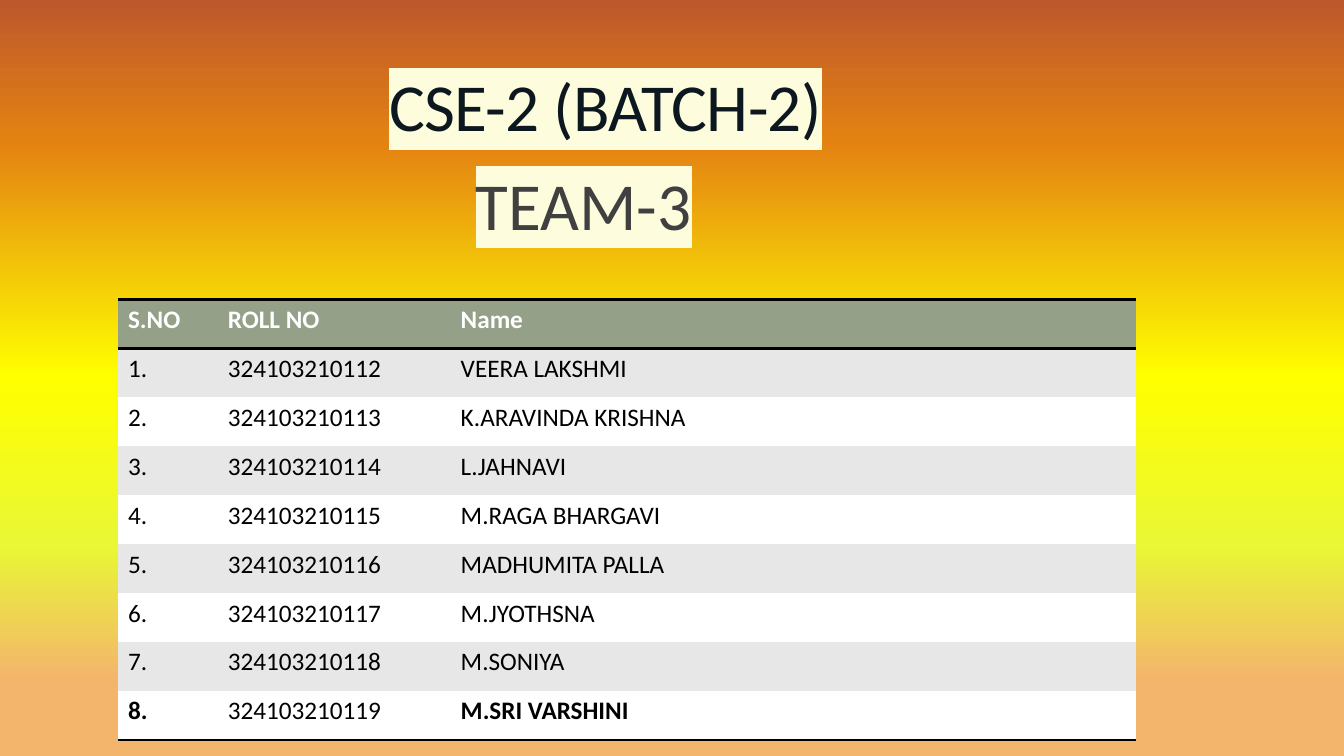
from dataclasses import dataclass

from lxml.etree import SubElement
from pptx import Presentation
from pptx.dml.color import RGBColor
from pptx.enum.text import MSO_ANCHOR
from pptx.oxml.ns import qn
from pptx.slide import Slide
from pptx.table import _Cell
from pptx.util import Inches, Pt

COLORS = {
    "rust": "BD582C",
    "orange": "E48312",
    "yellow": "FFFF00",
    "lime": "E9F735",
    "peach": "F3B56C",
    "gray": "404040",
    "navy": "0D171F",
    "cream": "FDFDDD",
    "sage": "94A088",
    "band": "E7E7E7",
    "white": "FFFFFF",
    "black": "000000",
}
BACKGROUND_STOPS = {"rust": 0, "orange": 19, "yellow": 50, "lime": 72, "peach": 90}
COLUMN_WIDTHS = (0.99, 2.31, 6.8)
ROW_HEIGHT = 4.37 / 9
HEADER = ("S.NO", "ROLL NO", "Name")
FIRST_ROLL_NUMBER = 324103210112
STUDENTS = (
    "VEERA LAKSHMI",
    "K.ARAVINDA KRISHNA",
    "L.JAHNAVI",
    "M.RAGA BHARGAVI",
    "MADHUMITA PALLA",
    "M.JYOTHSNA",
    "M.SONIYA",
    "M.SRI VARSHINI",
)


@dataclass(frozen=True)
class Heading:
    text: str
    left: float
    top: float
    width: float
    height: float
    color: str
    line_spacing: float
    anchor: MSO_ANCHOR


HEADINGS = (
    Heading("CSE-2 (BATCH-2)", 3.86, 0.21, 8.31, 1.28, "navy", 0.85, MSO_ANCHOR.BOTTOM),
    Heading("TEAM-3", 4.72, 1.66, 4.82, 0.9, "gray", 0.9, MSO_ANCHOR.TOP),
)


def write_text(frame, text: str, *, size: float, color: str, bold: bool = False,
               highlight: str | None = None, spacing: float | None = None,
               line_spacing: float | None = None) -> None:
    para = frame.paragraphs[0]
    if line_spacing:
        para.line_spacing = line_spacing
    span = para.add_run()
    span.text = text
    font = span.font
    font.name = "Calibri"
    font.size = Pt(size)
    font.bold = bold
    font.color.rgb = RGBColor.from_string(COLORS[color])
    properties = font._element
    if spacing:
        properties.set("spc", str(round(spacing * 100)))
    if highlight:
        mark = SubElement(properties, qn("a:highlight"))
        SubElement(mark, qn("a:srgbClr"), val=COLORS[highlight])
        properties.find(qn("a:solidFill")).addnext(mark)


def paint_background(page: Slide) -> None:
    fill = page.background.fill
    fill.gradient()
    fill.gradient_angle = 270
    stops = fill.gradient_stops[0]._gs.getparent()
    for stop in list(stops):
        stops.remove(stop)
    for color, percent in BACKGROUND_STOPS.items():
        stop = SubElement(stops, qn("a:gs"), pos=str(percent * 1000))
        SubElement(stop, qn("a:srgbClr"), val=COLORS[color])


def add_heading(page: Slide, heading: Heading) -> None:
    box = page.shapes.add_textbox(Inches(heading.left), Inches(heading.top),
                                  Inches(heading.width), Inches(heading.height))
    frame = box.text_frame
    frame.word_wrap = True
    frame.vertical_anchor = heading.anchor
    frame.margin_left = frame.margin_right = 0
    write_text(frame, heading.text, size=48, color=heading.color, highlight="cream",
               spacing=-0.5 if heading.anchor == MSO_ANCHOR.BOTTOM else None,
               line_spacing=heading.line_spacing)


def set_borders(cell: _Cell, ruled: set[str]) -> None:
    properties = cell._tc.get_or_add_tcPr()
    for position, side in enumerate(("lnL", "lnR", "lnT", "lnB")):
        line = SubElement(properties, qn(f"a:{side}"))
        properties.insert(position, line)
        if side in ruled:
            line.set("w", str(Pt(2)))
            fill = SubElement(line, qn("a:solidFill"))
            SubElement(fill, qn("a:srgbClr"), val=COLORS["black"])
        else:
            SubElement(line, qn("a:noFill"))


def add_student_table(page: Slide) -> None:
    rows = [HEADER] + [
        (f"{number}.", str(FIRST_ROLL_NUMBER + number - 1), name)
        for number, name in enumerate(STUDENTS, start=1)
    ]
    last = len(rows) - 1
    table = page.shapes.add_table(
        len(rows), len(HEADER), Inches(1.17), Inches(2.97),
        Inches(sum(COLUMN_WIDTHS)), Inches(ROW_HEIGHT * len(rows))).table
    for column, width in zip(table.columns, COLUMN_WIDTHS):
        column.width = Inches(width)
    for row_index, values in enumerate(rows):
        table.rows[row_index].height = Inches(ROW_HEIGHT)
        is_header = row_index == 0
        fill = "sage" if is_header else "band" if row_index % 2 else "white"
        ruled = {"lnT", "lnB"} if is_header else set()
        if row_index == 1:
            ruled = {"lnT"}
        elif row_index == last:
            ruled = {"lnB"}
        for column_index, value in enumerate(values):
            cell = table.cell(row_index, column_index)
            cell.fill.solid()
            cell.fill.fore_color.rgb = RGBColor.from_string(COLORS[fill])
            set_borders(cell, ruled)
            write_text(cell.text_frame, value, size=18,
                       color="white" if is_header else "black",
                       bold=is_header or (row_index == last and column_index != 1))


def main() -> None:
    deck = Presentation()
    deck.slide_width = Inches(13.33)
    deck.slide_height = Inches(7.5)
    page = deck.slides.add_slide(deck.slide_layouts[6])
    paint_background(page)
    for heading in HEADINGS:
        add_heading(page, heading)
    add_student_table(page)
    deck.save("out.pptx")


if __name__ == "__main__":
    main()
